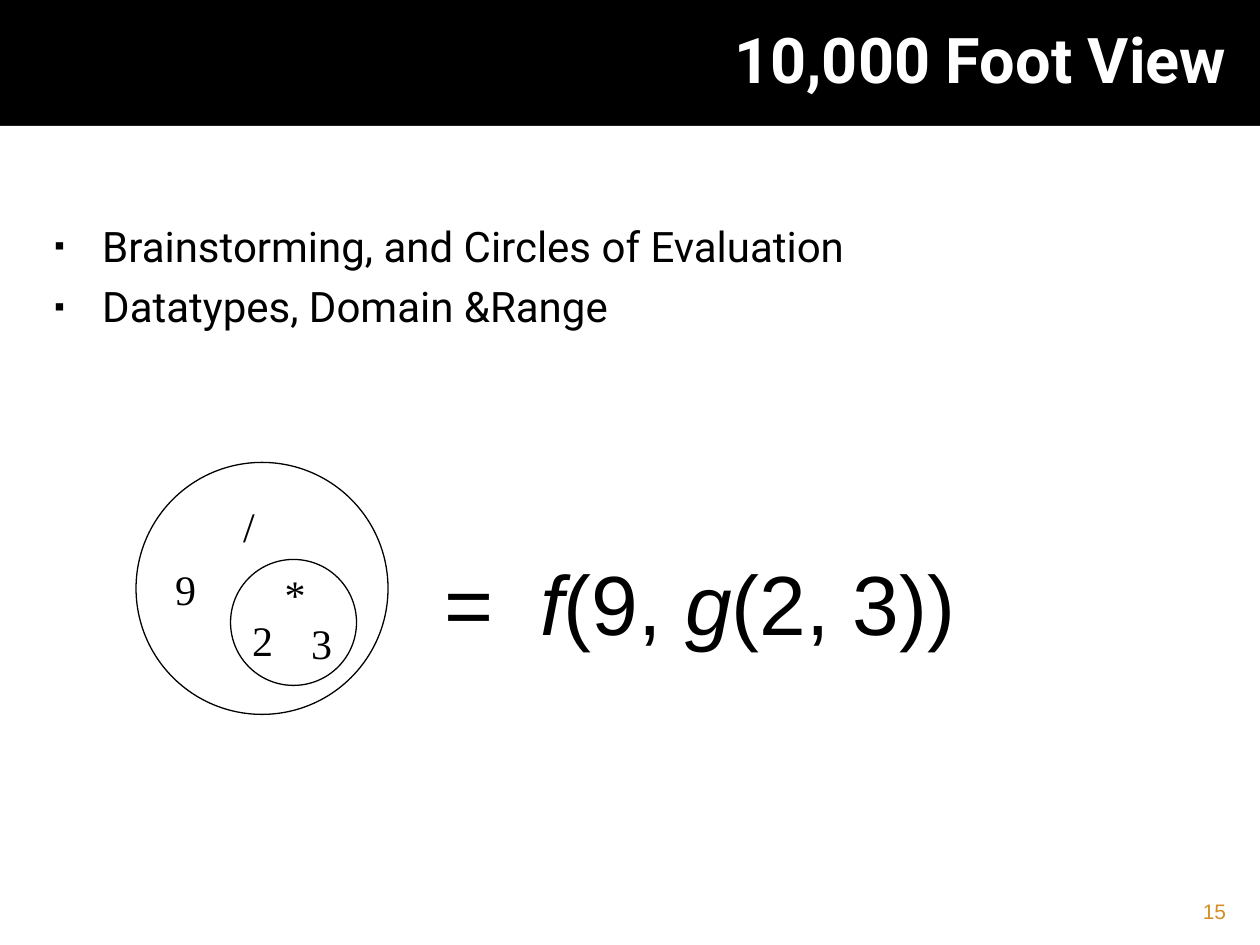
from pptx import Presentation
from pptx.dml.color import RGBColor
from pptx.enum.shapes import MSO_SHAPE as Shape
from pptx.enum.text import MSO_ANCHOR as Anchor, PP_ALIGN as Align
from pptx.oxml.ns import qn
from pptx.util import Inches, Pt
from lxml.etree import SubElement

W, H = 10, 7.5
COLORS = {"black": "000000", "white": "FFFFFF", "gold": "D38E27"}
SANS, HEAD, SERIF = "Arial", "Roboto", "Times New Roman"

TITLE = "10,000 Foot View"
BULLETS = ["Brainstorming, and Circles of Evaluation", "Datatypes, Domain &Range"]
PAGE = "15"
CIRCLES = [(1.08, 3.67, 2), (1.83, 4.44, 1)]  # left, top, diameter
SYMBOLS = [("*", 2.26, 4.51), ("2", 2, 4.88), ("3", 2.47, 4.9),
           ("9", 1.39, 4.47), ("/", 1.93, 3.97)]
FORMULA = [("=\t", False), ("f", True), ("(9, ", False),
           ("g", True), ("(2, 3))", False)]  # text, italic
MARGIN, HEADER, INDENT = W / 30, 1, 0.38


def rgb(name):
    return RGBColor.from_string(COLORS[name])


def add_shape(kind, box, line=None):
    sp = s.shapes.add_shape(kind, *map(Inches, box))
    sp.shadow.inherit = False
    sp.fill.solid()
    sp.fill.fore_color.rgb = rgb("white")
    if line:
        sp.line.color.rgb = rgb(line)
        sp.line.width = Pt(0.75)
    else:
        sp.line.fill.background()


def add_frame(box, inset=(0.1, 0.05), anchor=Anchor.TOP):
    tf = s.shapes.add_textbox(*map(Inches, box)).text_frame
    tf.word_wrap = True
    tf.vertical_anchor = anchor
    tf.margin_left = tf.margin_right = Inches(inset[0])
    tf.margin_top = tf.margin_bottom = Inches(inset[1])
    return tf


def add_run(p, text, size, font, color="black", bold=False, italic=False):
    r = p.add_run()
    r.text = text
    f = r.font
    f.size, f.name, f.bold, f.italic = Pt(size), font, bold, italic
    f.color.rgb = rgb(color)


def add_bullet(p):
    pPr = p._p.get_or_add_pPr()
    pPr.set("marL", str(Inches(INDENT)))
    pPr.set("indent", str(-Inches(INDENT)))
    color = SubElement(pPr, qn("a:buClr"))
    SubElement(color, qn("a:srgbClr"), val=COLORS["black"])
    SubElement(pPr, qn("a:buSzPct"), val="70000")
    SubElement(pPr, qn("a:buFont"), typeface=SANS)
    SubElement(pPr, qn("a:buChar"), char="▪")


def add_tab_stop(p, position):
    tabs = SubElement(p._p.get_or_add_pPr(), qn("a:tabLst"))
    SubElement(tabs, qn("a:tab"), pos=str(Inches(position)), algn="l")


prs = Presentation()
prs.slide_width, prs.slide_height = Inches(W), Inches(H)
s = prs.slides.add_slide(prs.slide_layouts[6])
s.background.fill.solid()
s.background.fill.fore_color.rgb = rgb("black")
add_shape(Shape.RECTANGLE, (0, HEADER, W, H - HEADER))

p = add_frame((MARGIN, 0, 9.5, 0.92), anchor=Anchor.MIDDLE).paragraphs[0]
p.alignment = Align.RIGHT
add_run(p, TITLE, 36, HEAD, "white", bold=True)

tf = add_frame((MARGIN, 1.7, 9.5, 4.95))
for i, text in enumerate(BULLETS):
    p = tf.add_paragraph() if i else tf.paragraphs[0]
    if i:
        p.space_before = Pt(5.6)
    add_bullet(p)
    add_run(p, text, 24, HEAD)

p = add_frame((9, 7.08, 0.83, 0.27)).paragraphs[0]
p.alignment = Align.RIGHT
add_run(p, PAGE, 12, SANS, "gold")

for left, top, size in CIRCLES:
    add_shape(Shape.OVAL, (left, top, size, size), "black")
for text, left, top in SYMBOLS:
    p = add_frame((left, top, 0.32, 0.43), inset=(0, 0)).paragraphs[0]
    add_run(p, text, 24, SERIF)

p = add_frame((3.43, 4.33, 4.49, 0.91)).paragraphs[0]
add_tab_stop(p, 0.76)
for text, italic in FORMULA:
    add_run(p, text, 48, SANS, italic=italic)

prs.save("out.pptx")
